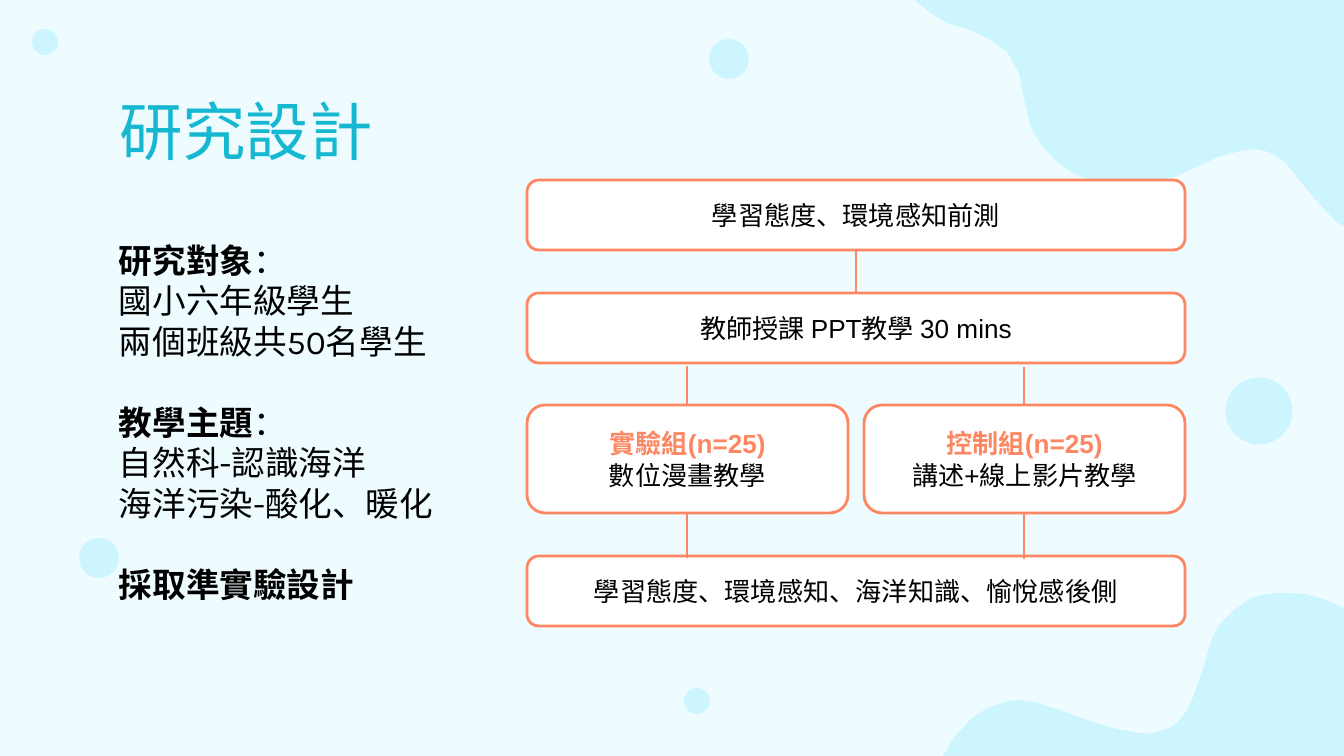
from lxml import etree
from pptx import Presentation
from pptx.dml.color import RGBColor
from pptx.enum.shapes import MSO_CONNECTOR, MSO_SHAPE
from pptx.enum.text import MSO_ANCHOR, MSO_AUTO_SIZE, PP_ALIGN
from pptx.oxml.ns import qn
from pptx.util import Pt

PX = 914400 / 134.4
WIDTH, HEIGHT = 1344, 756

PALE = RGBColor(0xEE, 0xFC, 0xFF)
WATER = RGBColor(0xCC, 0xF5, 0xFF)
TEAL = RGBColor(0x16, 0xB7, 0xD1)
CORAL = RGBColor(0xFE, 0x87, 0x63)
WHITE = RGBColor(0xFF, 0xFF, 0xFF)
BLACK = RGBColor(0, 0, 0)

TOP_WAVE = [
    (915, 0), (929, 12), (947, 23), (972, 31), (989, 39), (1007, 52),
    (1019, 73), (1023, 94), (1031, 128), (1042, 146), (1058, 163),
    (1073, 173), (1086, 179), (1106, 184), (1134, 185), (1154, 183),
    (1175, 177), (1218, 157), (1241, 151), (1255, 149), (1269, 152),
    (1282, 160), (1289, 167), (1308, 191), (1336, 222), (WIDTH, 227),
    (WIDTH, 0),
]
BOTTOM_WAVE = [
    (943, HEIGHT), (953, 739), (961, 730), (970, 720), (981, 712),
    (993, 706), (1005, 702), (1017, 700), (1038, 703), (1063, 711),
    (1087, 720), (1113, 728), (1134, 732), (1148, 734), (1160, 731),
    (1169, 728), (1177, 723), (1184, 715), (1191, 703), (1202, 672),
    (1212, 638), (1220, 624), (1232, 612), (1249, 599), (1262, 595),
    (1275, 593), (1289, 593), (1304, 594), (1324, 599), (WIDTH, 608),
    (WIDTH, HEIGHT),
]
# centre x, centre y, diameter
BUBBLES = [(1259, 411, 67), (99, 558, 40), (729, 59, 40),
           (697, 701, 26), (45, 42, 26)]

FLOW_LEFT, FLOW_WIDTH, STEP_HEIGHT = 527, 658, 70
GROUP_TOP, GROUP_WIDTH, GROUP_HEIGHT = 405, 321, 108
STEPS = [(180, "學習態度、環境感知前測"),
         (293, "教師授課 PPT教學 30 mins"),
         (556, "學習態度、環境感知、海洋知識、愉悅感後側")]
GROUPS = [(FLOW_LEFT, "實驗組(n=25)", "數位漫畫教學"),
          (FLOW_LEFT + FLOW_WIDTH - GROUP_WIDTH, "控制組(n=25)", "講述+線上影片教學")]
# x, top, bottom
LINKS = [(856, 250, 293), (687, 366, 405), (1024, 367, 405),
         (687, 513, 558), (1024, 513, 559)]


def px(*lengths):
    return [round(length * PX) for length in lengths]


def add_text(para, text, size, font, color=BLACK, bold=False):
    span = para.add_run()
    span.text = text
    span.font.size = Pt(size)
    span.font.name = font
    span.font.color.rgb = color
    span.font.bold = bold


def set_frame(frame, anchor):
    frame.word_wrap = True
    frame.auto_size = MSO_AUTO_SIZE.NONE
    frame.vertical_anchor = anchor
    inset, = px(13)
    frame.margin_left = frame.margin_right = inset
    frame.margin_top = frame.margin_bottom = inset


def next_para(frame, index):
    return frame.add_paragraph() if index else frame.paragraphs[0]


def paint_water(shape):
    shape.shadow.inherit = False
    shape.fill.solid()
    shape.fill.fore_color.rgb = WATER
    shape.line.fill.background()


def add_wave(page, points):
    builder = page.shapes.build_freeform(*points[0], scale=PX)
    builder.add_line_segments(points[1:], close=True)
    paint_water(builder.convert_to_shape())


def add_bubble(page, x, y, diameter):
    radius = diameter / 2
    paint_water(page.shapes.add_shape(
        MSO_SHAPE.OVAL, *px(x - radius, y - radius, diameter, diameter)))


def add_title(page, text):
    title = page.shapes.title
    title.left, title.top, title.width, title.height = px(106, 79, 1253, 85)
    set_frame(title.text_frame, MSO_ANCHOR.TOP)
    para = title.text_frame.paragraphs[0]
    para.alignment = PP_ALIGN.LEFT
    add_text(para, text, 34, "Karla", TEAL)


def add_summary(page, sections):
    """Each section is a bold heading, its ending and the lines below it."""
    box = page.shapes.add_textbox(*px(106, 227, 356, 417))
    frame = box.text_frame
    set_frame(frame, MSO_ANCHOR.TOP)
    for index, (heading, ending, lines) in enumerate(sections):
        para = next_para(frame, index)
        if index:
            para.space_before = Pt(22)
        add_text(para, heading, 18, "Karla", bold=True)
        if ending:
            add_text(para, ending, 18, "Karla")
        for line in lines:
            add_text(frame.add_paragraph(), line, 18, "Karla")


def add_flow_box(page, left, top, width, height, lines):
    """Each line is its text and the format of that text."""
    box = page.shapes.add_shape(MSO_SHAPE.ROUNDED_RECTANGLE,
                                *px(left, top, width, height))
    box.shadow.inherit = False
    box.fill.solid()
    box.fill.fore_color.rgb = WHITE
    box.line.color.rgb = CORAL
    box.line.width = Pt(1.5)
    set_frame(box.text_frame, MSO_ANCHOR.MIDDLE)
    for index, (text, style) in enumerate(lines):
        para = next_para(box.text_frame, index)
        para.alignment = PP_ALIGN.CENTER
        add_text(para, text, 14, "Arial", **style)


def add_link(page, x, top, bottom):
    link = page.shapes.add_connector(MSO_CONNECTOR.STRAIGHT,
                                     *px(x, top, x, bottom))
    link.line.color.rgb = CORAL
    link.line.width = Pt(1.5)
    etree.SubElement(link._element.spPr, qn("a:effectLst"))


def main():
    deck = Presentation()
    deck.slide_width, deck.slide_height = px(WIDTH, HEIGHT)
    page = deck.slides.add_slide(deck.slide_layouts[5])
    page.background.fill.solid()
    page.background.fill.fore_color.rgb = PALE

    for points in (TOP_WAVE, BOTTOM_WAVE):
        add_wave(page, points)
    for bubble in BUBBLES:
        add_bubble(page, *bubble)

    add_title(page, "研究設計")
    add_summary(page, [
        ("研究對象", "：", ["國小六年級學生", "兩個班級共50名學生"]),
        ("教學主題", "：", ["自然科-認識海洋", "海洋污染-酸化、暖化"]),
        ("採取準實驗設計", "", []),
    ])

    for top, text in STEPS:
        add_flow_box(page, FLOW_LEFT, top, FLOW_WIDTH, STEP_HEIGHT, [(text, {})])
    for left, name, method in GROUPS:
        add_flow_box(page, left, GROUP_TOP, GROUP_WIDTH, GROUP_HEIGHT,
                     [(name, {"color": CORAL, "bold": True}), (method, {})])
    for link in LINKS:
        add_link(page, *link)

    deck.save("out.pptx")


if __name__ == "__main__":
    main()
